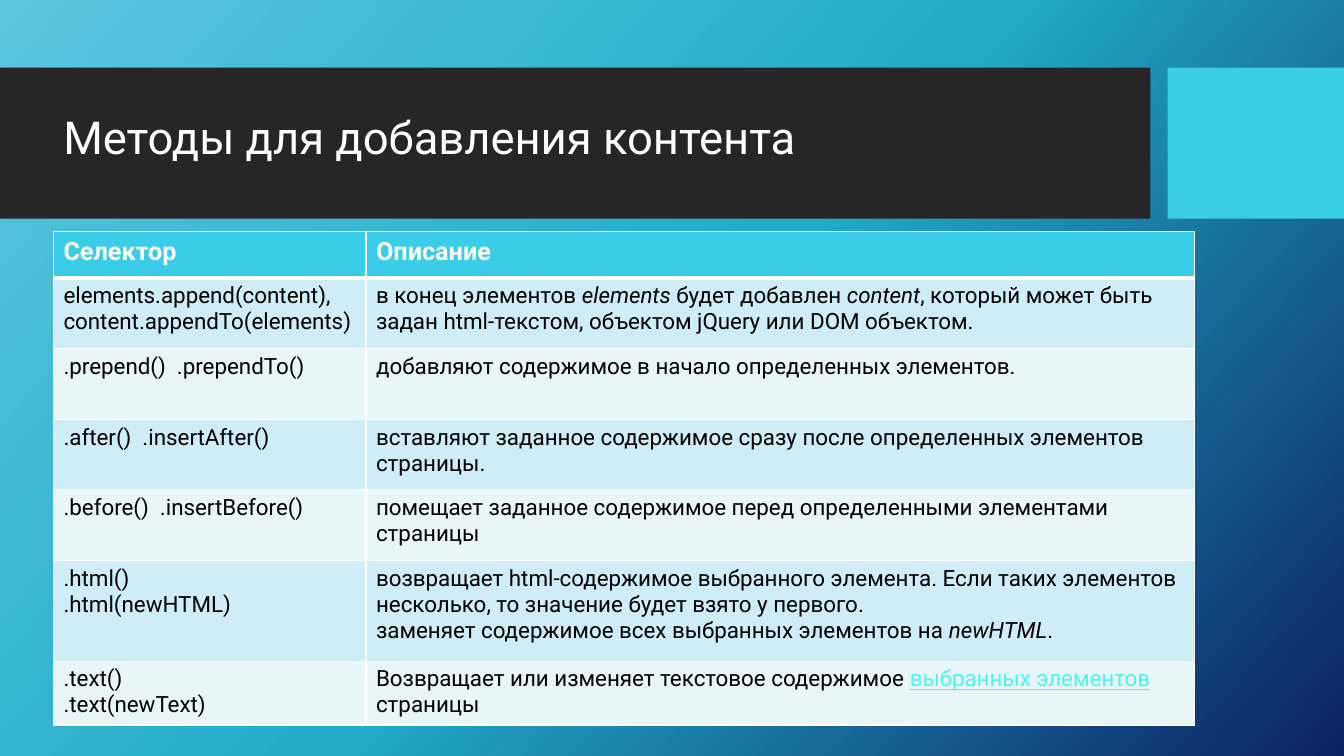
from copy import deepcopy

from pptx import Presentation
from pptx.dml.color import RGBColor
from pptx.enum.shapes import MSO_SHAPE
from pptx.enum.text import MSO_ANCHOR
from pptx.oxml import parse_xml
from pptx.oxml.ns import nsdecls, qn
from pptx.util import Inches, Pt

RECTANGLE = MSO_SHAPE.RECTANGLE
MIDDLE = MSO_ANCHOR.MIDDLE

FONT = "Roboto"
COLORS = {
    "sky": "5BC6DD", "teal": "21ABC8", "navy": "0C2263",
    "band": "262626", "accent": "39CDE7", "odd": "CEEDF6", "even": "E8F6FA",
    "white": "FFFFFF", "black": "000000", "link": "4BF7ED",
}
TITLE = "Методы для добавления контента"
HEADER = ("Селектор", "Описание")
# Each cell is a list of paragraphs; each paragraph is a list of (text, style).
ROWS = [
    ([[("elements.append(content), content.appendTo(elements)", "")]],
     [[("в конец элементов ", ""), ("elements", "italic"), (" будет добавлен ", ""),
       ("content", "italic"),
       (", который может быть задан html-текстом, объектом jQuery или DOM объектом.", "")]]),
    ([[(".prepend()  .prependTo()", "")]],
     [[("добавляют содержимое в начало определенных элементов.", "")]]),
    ([[(".after()  .insertAfter()", "")]],
     [[("вставляют заданное содержимое сразу после определенных элементов страницы.", "")]]),
    ([[(".before()  .insertBefore()", "")]],
     [[("помещает заданное содержимое перед определенными элементами страницы", "")]]),
    ([[(".html()", "")], [(".html(newHTML)", "")]],
     [[("возвращает html-содержимое выбранного элемента. Если таких элементов несколько, "
        "то значение будет взято у первого.", "")],
      [("заменяет содержимое всех выбранных элементов на ", ""),
       ("newHTML", "italic"), (".", "")]]),
    ([[(".text()", "")], [(".text(newText)", "")]],
     [[("Возвращает или изменяет текстовое содержимое ", ""),
       ("выбранных элементов", "link"), (" страницы", "")]]),
]

WIDTH, HEIGHT = 13.33, 7.5
LEFT = 0.53
BAND_TOP, BAND_HEIGHT = 0.67, 1.5
BAND_WIDTH, ACCENT_WIDTH = 11.41, 1.75
TABLE_TOP = 2.3
COLUMN_WIDTHS = (3.1, 8.22)
ROW_HEIGHTS = (0.46, 0.7, 0.7, 0.7, 0.7, 1, 0.63)


def color(name):
    return RGBColor.from_string(COLORS[name])


def paint_background(page):
    fill = page.background.fill
    fill.gradient()
    fill.gradient_angle = 360 - 42
    stop_list = page.element.find(".//" + qn("a:gsLst"))
    stop_list.insert(1, deepcopy(stop_list[0]))
    for stop, name, position in zip(fill.gradient_stops, ("sky", "teal", "navy"), (0, 0.5, 1)):
        stop.color.rgb = color(name)
        stop.position = position


def add_block(page, left, width, fill):
    block = page.shapes.add_shape(RECTANGLE, Inches(left), Inches(BAND_TOP),
                                  Inches(width), Inches(BAND_HEIGHT))
    block.shadow.inherit = False
    block.fill.solid()
    block.fill.fore_color.rgb = color(fill)
    block.line.fill.background()


def set_font(paragraph, size, name, bold=False):
    font = paragraph.font
    font.name, font.size, font.bold = FONT, Pt(size), bold
    font.color.rgb = color(name)


def add_title(page):
    box = page.shapes.add_textbox(Inches(LEFT), Inches(1.07), Inches(9.98), Inches(0.64))
    frame = box.text_frame
    frame.word_wrap = True
    frame.vertical_anchor = MIDDLE
    para = frame.paragraphs[0]
    para.text = TITLE
    para.line_spacing = 0.9
    set_font(para, 32.4, "white")


def style_cell(cell, fill, is_header, below_header):
    properties = cell._tc.get_or_add_tcPr()
    widths = {"lnL": 1, "lnR": 1, "lnT": 3 if below_header else 1, "lnB": 3 if is_header else 1}
    for side, width in widths.items():
        properties.append(parse_xml(
            f'<a:{side} {nsdecls("a")} w="{Pt(width)}"><a:solidFill>'
            f'<a:srgbClr val="{COLORS["white"]}"/></a:solidFill></a:{side}>'))
    cell.fill.solid()
    cell.fill.fore_color.rgb = color(fill)


def write_cell(cell, paragraphs, size, name, bold):
    frame = cell.text_frame
    for index, spans in enumerate(paragraphs):
        para = frame.add_paragraph() if index else frame.paragraphs[0]
        set_font(para, size, name, bold)
        for text, style in spans:
            span = para.add_run()
            span.text = text
            if style == "italic":
                span.font.italic = True
            elif style == "link":
                span.font.underline = True
                span.font.color.rgb = color("link")


def add_methods_table(page):
    header = tuple([[(label, "")]] for label in HEADER)
    rows = [header, *ROWS]
    table = page.shapes.add_table(
        len(rows), len(HEADER), Inches(LEFT), Inches(TABLE_TOP),
        Inches(sum(COLUMN_WIDTHS)), Inches(sum(ROW_HEIGHTS))).table
    for column, width in zip(table.columns, COLUMN_WIDTHS):
        column.width = Inches(width)
    for row_index, (row, height) in enumerate(zip(rows, ROW_HEIGHTS)):
        table.rows[row_index].height = Inches(height)
        is_header = row_index == 0
        fill = "accent" if is_header else "odd" if row_index % 2 else "even"
        size, name = (18, "white") if is_header else (16, "black")
        for column_index, paragraphs in enumerate(row):
            cell = table.cell(row_index, column_index)
            style_cell(cell, fill, is_header, row_index == 1)
            write_cell(cell, paragraphs, size, name, is_header)


def main():
    deck = Presentation()
    deck.slide_width, deck.slide_height = Inches(WIDTH), Inches(HEIGHT)
    page = deck.slides.add_slide(deck.slide_layouts[6])
    paint_background(page)
    add_block(page, 0, BAND_WIDTH, "band")
    add_block(page, WIDTH - ACCENT_WIDTH, ACCENT_WIDTH, "accent")
    add_title(page)
    add_methods_table(page)
    deck.save("out.pptx")


if __name__ == "__main__":
    main()
